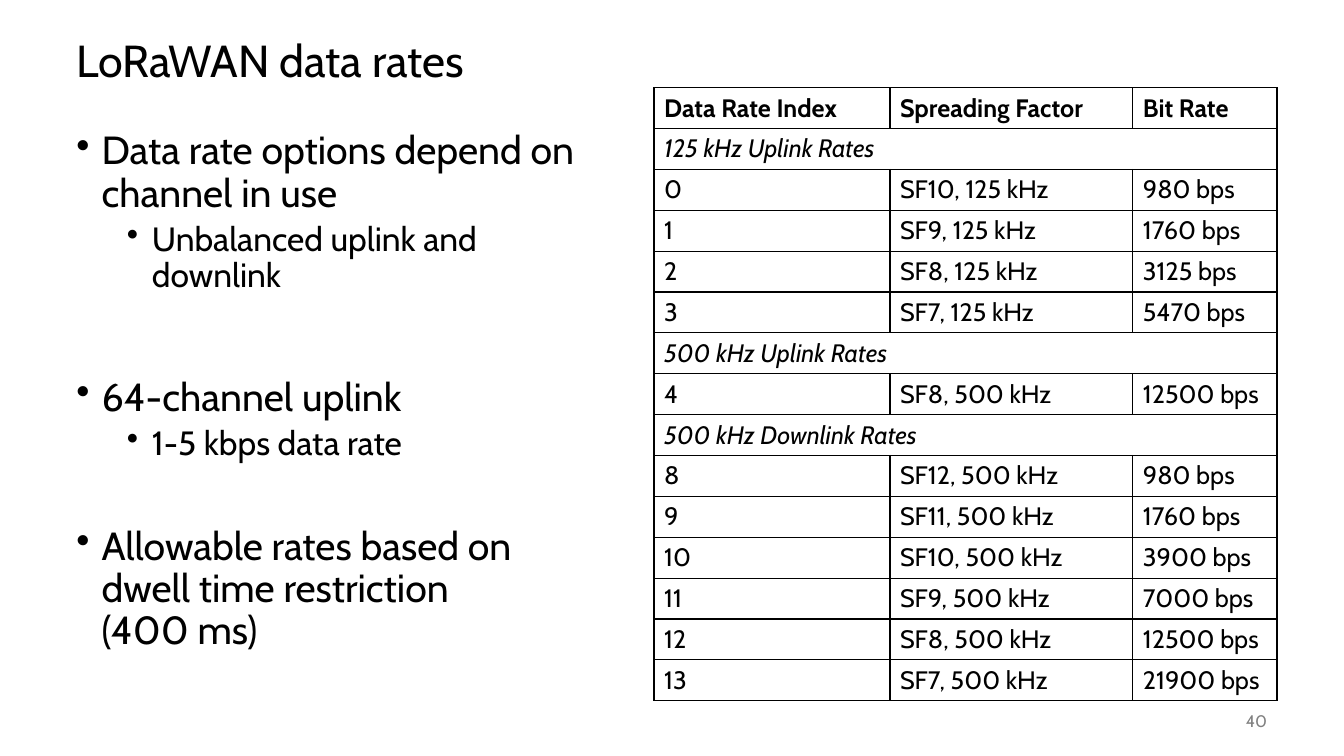
"""Build the slide on LoRaWAN data rates."""
from dataclasses import dataclass

from lxml import etree
from pptx import Presentation
from pptx import util as u
from pptx.dml import color
from pptx.enum import text
from pptx.oxml import ns

COLORS = {"ink": "000000", "number": "808080"}
FONT = "Cabin"
ROW_HEIGHT = 29.2
COLUMN_WIDTHS = (168.5, 173.5, 103)
INSETS = {"margin_left": 7.2, "margin_right": 7.2, "margin_top": 3.6, "margin_bottom": 3.6}


@dataclass
class Line:
    words: str
    size: float
    color: str = "ink"
    bold: bool = False
    italic: bool = False
    align: text.PP_ALIGN = text.PP_ALIGN.LEFT
    spacing: float = 1.0
    before: float = 0
    indent: float = 0
    level: int = 0


@dataclass
class Block:
    left: float
    top: float
    width: float
    height: float
    anchor: text.MSO_ANCHOR
    lines: list[Line]


def bullet(words: str, before: float = 0, level: int = 0) -> Line:
    return Line(words, 28 - 4 * level, spacing=0.9, before=before,
                indent=18 + 36 * level, level=level)


BLOCKS = [
    Block(47.5, 18, 864, 54, text.MSO_ANCHOR.MIDDLE,
          [Line("LoRaWAN data rates", 32, spacing=0.9)]),
    Block(840.25, 500.5, 72, 28.75, text.MSO_ANCHOR.MIDDLE,
          [Line("40", 12, "number", align=text.PP_ALIGN.RIGHT)]),
    Block(47.5, 90, 377.3, 396, text.MSO_ANCHOR.TOP, [
        bullet("Data rate options depend on channel in use"),
        bullet("Unbalanced uplink and downlink", 5, 1),
        bullet("64-channel uplink", 58.7),
        bullet("1-5 kbps data rate", 5, 1),
        bullet("Allowable rates based on dwell time restriction\v(400 ms)", 45.3),
    ]),
]

HEADINGS = ("Data Rate Index", "Spreading Factor", "Bit Rate")
RATES = [
    ("125 kHz Uplink Rates",),
    ("0", "SF10, 125 kHz", "980 bps"),
    ("1", "SF9, 125 kHz", "1760 bps"),
    ("2", "SF8, 125 kHz", "3125 bps"),
    ("3", "SF7, 125 kHz", "5470 bps"),
    ("500 kHz Uplink Rates",),
    ("4", "SF8, 500 kHz", "12500 bps"),
    ("500 kHz Downlink Rates",),
    ("8", "SF12, 500 kHz", "980 bps"),
    ("9", "SF11, 500 kHz", "1760 bps"),
    ("10", "SF10, 500 kHz", "3900 bps"),
    ("11", "SF9, 500 kHz", "7000 bps"),
    ("12", "SF8, 500 kHz", "12500 bps"),
    ("13", "SF7, 500 kHz", "21900 bps"),
]


def apply(target, values: dict) -> None:
    for name, value in values.items():
        setattr(target, name, value)


def write(para, line: Line) -> None:
    para.text = line.words
    if line.indent:
        properties = para._p.get_or_add_pPr()
        properties.set("marL", str(u.Pt(line.indent)))
        properties.set("indent", str(u.Pt(-18)))
        etree.SubElement(properties, ns.qn("a:buChar")).set("char", "•")
    apply(para, {"alignment": line.align, "line_spacing": line.spacing,
                 "space_before": u.Pt(line.before), "level": line.level})
    for span in para.runs:
        apply(span.font, {"name": FONT, "size": u.Pt(line.size),
                          "bold": line.bold, "italic": line.italic})
        span.font.color.rgb = color.RGBColor.from_string(COLORS[line.color])


def add_block(page, block: Block) -> None:
    lengths = (block.left, block.top, block.width, block.height)
    box = page.shapes.add_textbox(*map(u.Pt, lengths))
    frame = box.text_frame
    apply(frame, {"word_wrap": True, "vertical_anchor": block.anchor,
                  **{name: u.Pt(inset) for name, inset in INSETS.items()}})
    for index, line in enumerate(block.lines):
        write(frame.add_paragraph() if index else frame.paragraphs[0], line)


def outline(cell) -> None:
    properties = cell._tc.get_or_add_tcPr()
    for side in ("lnL", "lnR", "lnT", "lnB"):
        border = etree.SubElement(properties, ns.qn(f"a:{side}"), w=str(u.Pt(1)))
        fill = etree.SubElement(border, ns.qn("a:solidFill"))
        etree.SubElement(fill, ns.qn("a:srgbClr"), val=COLORS["ink"])
    cell.fill.background()


def add_rates(page) -> None:
    rows = [HEADINGS, *RATES]
    lengths = (467.2, 62.6, sum(COLUMN_WIDTHS), ROW_HEIGHT * len(rows))
    table = page.shapes.add_table(len(rows), len(HEADINGS), *map(u.Pt, lengths)).table
    apply(table, {"first_row": False, "horz_banding": False})
    for column, width in zip(table.columns, COLUMN_WIDTHS):
        column.width = u.Pt(width)
    for index, words in enumerate(rows):
        table.rows[index].height = u.Pt(ROW_HEIGHT)
        for cell in table.rows[index].cells:
            outline(cell)
        if len(words) == 1:
            table.cell(index, 0).merge(table.cell(index, len(HEADINGS) - 1))
        for place, word in enumerate(words):
            write(table.cell(index, place).text_frame.paragraphs[0],
                  Line(word, 18, bold=index == 0, italic=len(words) == 1))


def main() -> None:
    deck = Presentation()
    apply(deck, {"slide_width": u.Pt(960), "slide_height": u.Pt(540)})
    page = deck.slides.add_slide(deck.slide_layouts[6])
    add_rates(page)
    for block in BLOCKS:
        add_block(page, block)
    deck.save("out.pptx")


if __name__ == "__main__":
    main()
